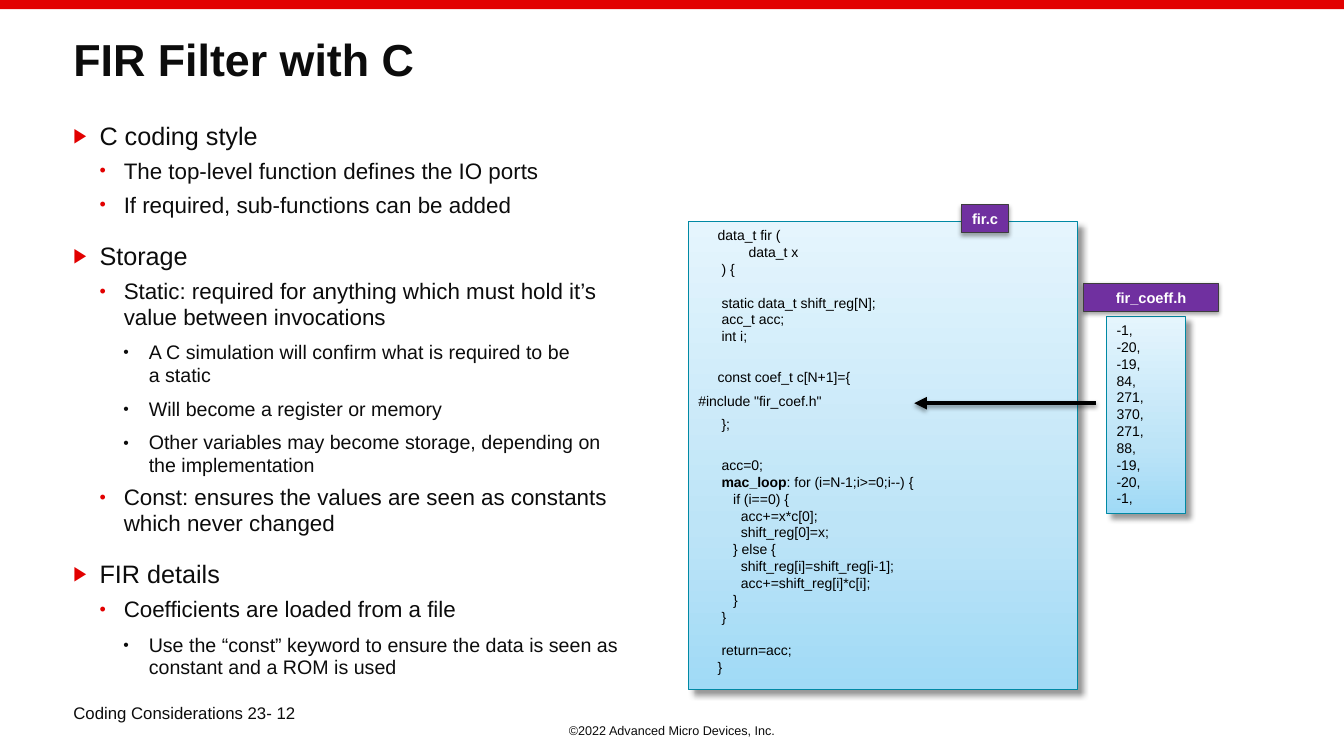
from lxml.etree import SubElement
from pptx import Presentation
from pptx.dml.color import RGBColor
from pptx.enum.shapes import MSO_CONNECTOR, MSO_SHAPE
from pptx.enum.text import MSO_ANCHOR, PP_ALIGN
from pptx.oxml.ns import qn
from pptx.util import Cm, Pt

RECT = MSO_SHAPE.RECTANGLE
LINE = MSO_CONNECTOR.STRAIGHT
TOP, MIDDLE = MSO_ANCHOR.TOP, MSO_ANCHOR.MIDDLE
LEFT, CENTER = PP_ALIGN.LEFT, PP_ALIGN.CENTER

FONT = "Arial"
INK, RED, BLACK, WHITE = "0C0C0C", "E20000", "000000", "FFFFFF"
TEAL, PURPLE, GREY = "0089A4", "7030A0", "3E3E3E"
FADE = [(0, "A0DAF6"), (35, "BDE4F7"), (100, "E5F5FD")]
WIDE, HIGH = 33.87, 19.05

TITLE = "FIR Filter with C"
FOOTER = "©2022 Advanced Micro Devices, Inc."
PAGE = "Coding Considerations 23- 12"

POINTS = [
    (0, "C coding style"),
    (1, "The top-level function defines the IO ports"),
    (1, "If required, sub-functions can be added"),
    (0, "Storage"),
    (1, "Static: required for anything which must hold it’s\nvalue between invocations"),
    (2, "A C simulation will confirm what is required to be\na static"),
    (2, "Will become a register or memory"),
    (2, "Other variables may become storage, depending on\nthe implementation"),
    (1, "Const: ensures the values are seen as constants\nwhich never changed"),
    (0, "FIR details"),
    (1, "Coefficients are loaded from a file"),
    (2, "Use the “const” keyword to ensure the data is seen as\nconstant and a ROM is used"),
]

LEVELS = [
    dict(size=18, left=0.66, hang=0.66, before=16, lines=1.0, mark="▶", color=RED),
    dict(size=16, left=1.27, hang=0.61, before=6, lines=0.95, mark="•", color=RED),
    dict(size=14, left=1.9, hang=0.64, before=8.3, lines=0.95, mark="•", color=INK),
]

CODE = [
    (0, "     data_t fir ("),
    (0, "\tdata_t x"),
    (0, "      ) {"),
    (12, "      static data_t shift_reg[N];"),
    (0, "      acc_t acc;"),
    (0, "      int i;"),
    (17, "     const coef_t c[N+1]={"),
    (5, '#include "fir_coef.h"'),
    (5, "      };"),
    (17, "      acc=0;"),
    (0, "      ", "mac_loop", ": for (i=N-1;i>=0;i--) {"),
    (0, "         if (i==0) {"),
    (0, "           acc+=x*c[0];"),
    (0, "           shift_reg[0]=x;"),
    (0, "         } else {"),
    (0, "           shift_reg[i]=shift_reg[i-1];"),
    (0, "           acc+=shift_reg[i]*c[i];"),
    (0, "         }"),
    (0, "      }"),
    (12, "      return=acc;"),
    (0, "     }"),
]

COEFS = [-1, -20, -19, 84, 271, 370, 271, 88, -19, -20, -1]

deck = Presentation()
deck.slide_width, deck.slide_height = Cm(WIDE), Cm(HIGH)
slide = deck.slides.add_slide(deck.slide_layouts[6])


def tint(code):
    return RGBColor.from_string(code)


def node(home, tag, **attrs):
    return SubElement(home, qn(tag), {key: str(val) for key, val in attrs.items()})


def write(para, text, size, color=INK, bold=False):
    for i, part in enumerate(text.split("\n")):
        if i:
            para.add_line_break()
        run = para.add_run()
        run.text = part
        font = run.font
        font.name, font.size, font.bold = FONT, Pt(size), bold
        font.color.rgb = tint(color)


def lines(frame, count):
    for i in range(count):
        yield frame.add_paragraph() if i else frame.paragraphs[0]


def setup(frame, anchor, wrap=True):
    frame.word_wrap, frame.vertical_anchor = wrap, anchor
    return frame


def label(box, text, size, align=LEFT, bold=False):
    area = slide.shapes.add_textbox(*map(Cm, box))
    para = setup(area.text_frame, TOP).paragraphs[0]
    para.alignment = align
    write(para, text, size, bold=bold)
    return para


def shade(home, alpha, blur, dist, angle):
    cast = node(home, "a:outerShdw", blurRad=Pt(blur), dist=Pt(dist),
                dir=angle * 60000, algn="ctr", rotWithShape=0)
    color = node(cast, "a:srgbClr", val=BLACK)
    node(color, "a:alpha", val=alpha * 1000)


def block(box, fill, edge=None, shadow=None):
    shape = slide.shapes.add_shape(RECT, *map(Cm, box))
    shape.shadow.inherit = False
    props = shape.fill
    if isinstance(fill, str):
        props.solid()
        props.fore_color.rgb = tint(fill)
    else:
        props.gradient()
        props.gradient_angle = 90
        stops = shape.element.spPr.find(".//" + qn("a:gsLst"))
        for stop in list(stops):
            stops.remove(stop)
        for pos, color in fill:
            node(node(stops, "a:gs", pos=pos * 1000), "a:srgbClr", val=color)
    if edge:
        shape.line.color.rgb = tint(edge)
        shape.line.width = Pt(0.75)
    else:
        shape.line.fill.background()
    if shadow:
        shade(shape.element.spPr.find(qn("a:effectLst")), *shadow)
    return shape


def panel(box):
    shape = block(box, FADE, TEAL, (40, 4, 5, 45))
    return setup(shape.text_frame, TOP)


def tag(box, text, wrap):
    shape = block(box, PURPLE, GREY, (35, 3.1, 1.8, 90))
    para = setup(shape.text_frame, MIDDLE, wrap).paragraphs[0]
    para.alignment = CENTER
    write(para, text, 10.5, WHITE, True)


def bullets(box):
    frame = setup(slide.shapes.add_textbox(*map(Cm, box)).text_frame, TOP)
    for i, para in enumerate(lines(frame, len(POINTS))):
        level, text = POINTS[i]
        look = LEVELS[level]
        props = para._p.get_or_add_pPr()
        props.set("marL", str(Cm(look["left"])))
        props.set("indent", str(-Cm(look["hang"])))
        node(node(props, "a:buClr"), "a:srgbClr", val=look["color"])
        node(props, "a:buSzPct", val=80000)
        node(props, "a:buFont", typeface=FONT)
        node(props, "a:buChar", char=look["mark"])
        para.level = level
        para.line_spacing = look["lines"]
        para.space_before = Pt(look["before"] if i else 0)
        write(para, text, look["size"])


def code(box):
    for para, (gap, *parts) in zip(lines(panel(box), len(CODE)), CODE):
        tabs = node(para._p.get_or_add_pPr(), "a:tabLst")
        node(tabs, "a:tab", pos=Cm(1.27), algn="l")
        para.alignment = LEFT
        para.space_before = Pt(gap)
        for i, part in enumerate(parts):
            write(para, part, 10, BLACK, i == 1)


def coefs(box):
    for para, value in zip(lines(panel(box), len(COEFS)), COEFS):
        para.alignment = LEFT
        write(para, f"{value},", 10, BLACK)


def arrow(start, end, y):
    link = slide.shapes.add_connector(LINE, Cm(start), Cm(y), Cm(end), Cm(y))
    link.line.color.rgb = tint(BLACK)
    link.line.width = Pt(3)
    node(link.line._get_or_add_ln(), "a:tailEnd", type="triangle")
    shade(node(link._element.spPr, "a:effectLst"), 38, 3.1, 1.6, 90)


label((0, 18.08, WIDE, 0.64), FOOTER, 9, CENTER)
block((0, 0, WIDE, 0.23), RED)
label((1.6, 0.84, 30.66, 2.72), TITLE, 32, bold=True).line_spacing = 0.9
bullets((1.6, 2.9, 14.91, 12.88))
label((1.6, 17.58, 6.12, 1.02), PAGE, 12)
code((17.35, 5.59, 9.8, 11.79))
arrow(27.61, 23.04, 10.16)
tag((24.23, 5.16, 1.19, 0.71), "fir.c", False)
coefs((27.89, 7.98, 1.98, 4.95))
tag((27.31, 7.14, 3.4, 0.71), "fir_coeff.h", True)

deck.save("out.pptx")
